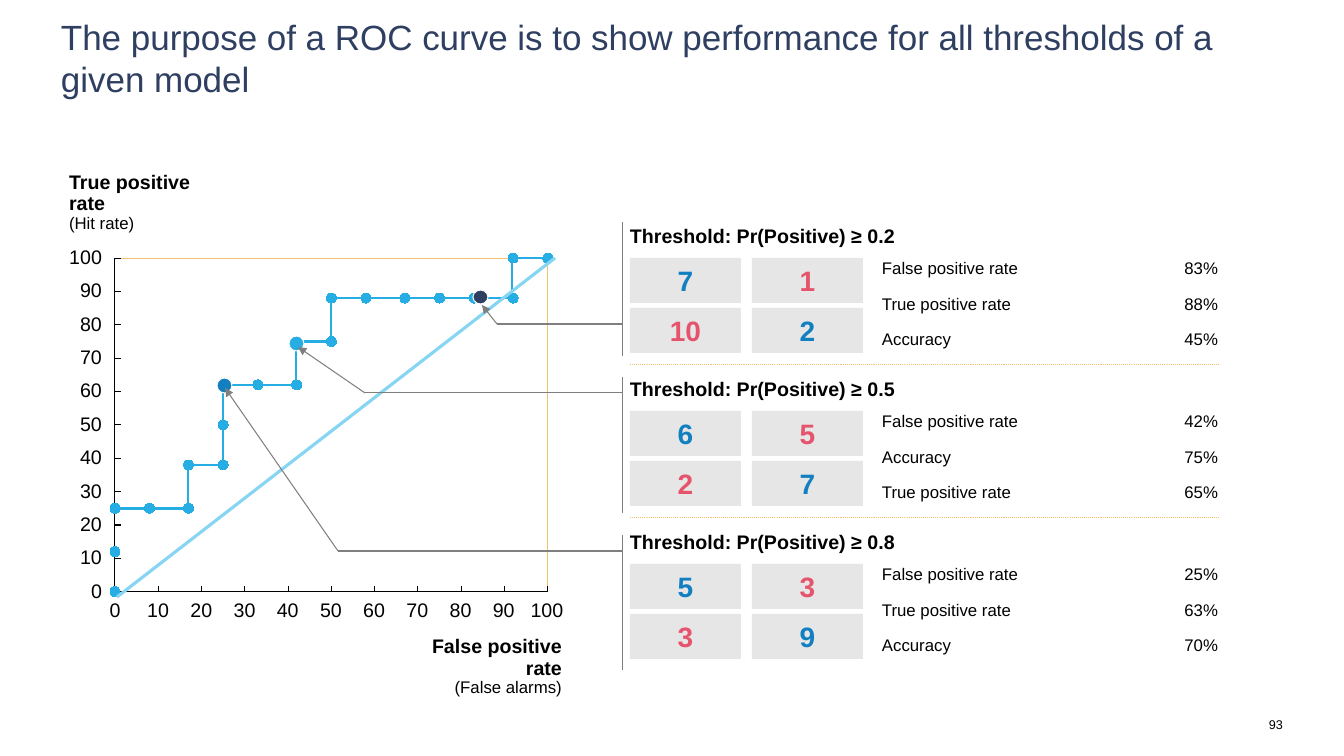
from itertools import pairwise

from lxml import etree
from pptx import Presentation
from pptx import util as u
from pptx.chart.data import XyChartData
from pptx.dml.color import RGBColor
from pptx.enum import chart as ch
from pptx.enum import dml, shapes, text
from pptx.oxml import parse_xml
from pptx.oxml.ns import nsdecls, qn

# Content
TITLE = ("The purpose of a ROC curve is to show performance "
         "for all thresholds of a given model")
PAGE_NUMBER = "93"
Y_TITLE = ("True positive rate", "(Hit rate)")
X_TITLE = ("False positive rate", "(False alarms)")
ROC_POINTS = [
    (0, 0), (0, 12), (0, 25), (8, 25), (17, 25), (17, 38), (25, 38),
    (25, 50), (25, 62), (33, 62), (42, 62), (42, 75), (50, 75), (50, 88),
    (58, 88), (67, 88), (75, 88), (83, 88), (92, 88), (92, 100), (100, 100),
]
FIRST_JOINED = 2  # the points below this index stand alone
FPR, TPR, ACCURACY = "False positive rate", "True positive rate", "Accuracy"
# dot: left, top, width, height; bracket: top, bottom; callout: knee, arrow tip
THRESHOLDS = [
    {"heading": "Threshold: Pr(Positive) ≥ 0.2", "matrix": [["7", "1"], ["10", "2"]],
     "metrics": [(FPR, "83%"), (TPR, "88%"), (ACCURACY, "45%")],
     "dot": (473, 290, 15, 14), "dot_color": "navy",
     "bracket": (222, 356), "callout": [(497, 324), (482, 305)]},
    {"heading": "Threshold: Pr(Positive) ≥ 0.5", "matrix": [["6", "5"], ["2", "7"]],
     "metrics": [(FPR, "42%"), (ACCURACY, "75%"), (TPR, "65%")],
     "dot": (289, 336, 15, 15), "dot_color": "curve",
     "bracket": (377, 513), "callout": [(365, 393), (298, 347)]},
    {"heading": "Threshold: Pr(Positive) ≥ 0.8", "matrix": [["5", "3"], ["3", "9"]],
     "metrics": [(FPR, "25%"), (TPR, "63%"), (ACCURACY, "70%")],
     "dot": (217, 378, 15, 15), "dot_color": "blue",
     "bracket": (535, 670), "callout": [(338, 551), (225, 388)]},
]

# Theme
THEME = {
    "font": "Arial",
    "colors": {"black": "000000", "white": "FFFFFF", "navy": "2F3F61",
               "curve": "26ADE4", "diagonal": "86D5F3", "blue": "127FC0",
               "red": "E5546C", "cell": "E6E6E6", "gray": "7F7F7F",
               "gold": "F2C26F"},
    "sizes": {"title": 25, "count": 20, "label": 14, "small": 12, "page": 9},
}
SIZES = THEME["sizes"]

# Layout in px
PX = 12192000 / 1344
PLOT_LEFT, PLOT_TOP, PLOT_WIDTH, PLOT_HEIGHT = 115, 258, 432, 334
CHART_BOX = (106, 249, 451, 352)
DIGIT_WIDTH, LABEL_HEIGHT = 11, 21
BRACKET_X, PANEL_LEFT, PANEL_WIDTH = 623, 630, 589
PANEL_TOP, PANEL_PITCH, BODY_OFFSET, DIVIDER_OFFSET = 224, 153, 34, 141
CELL_WIDTH, CELL_HEIGHT, CELL_PITCH_X, CELL_PITCH_Y = 111, 45, 122, 50
METRIC_LEFT, VALUE_LEFT, METRIC_SPAN = 882, 1152, 71

LEFT, CENTER, RIGHT = text.PP_ALIGN.LEFT, text.PP_ALIGN.CENTER, text.PP_ALIGN.RIGHT
TOP, MIDDLE, BOTTOM = text.MSO_ANCHOR.TOP, text.MSO_ANCHOR.MIDDLE, text.MSO_ANCHOR.BOTTOM


def emu(*lengths):
    return [u.Emu(round(length * PX)) for length in lengths]


def rgb(name):
    return RGBColor.from_string(THEME["colors"][name])


def style_run(run, size, color="black", bold=False):
    run.font.name = THEME["font"]
    run.font.size = u.Pt(SIZES[size])
    run.font.bold = bold
    run.font.color.rgb = rgb(color)


def add_text(slide, box, content, size, color="black", bold=False, align=LEFT,
             anchor=TOP, wrap=True, spacing=None):
    frame = slide.shapes.add_textbox(*emu(*box)).text_frame
    frame.margin_left = frame.margin_right = frame.margin_top = frame.margin_bottom = 0
    frame.word_wrap = wrap
    frame.vertical_anchor = anchor
    paragraph = frame.paragraphs[0]
    paragraph.text = content
    paragraph.alignment = align
    paragraph.line_spacing = spacing
    for run in paragraph.runs:
        style_run(run, size, color, bold)
    return paragraph


def add_axis_title(slide, box, lines, align, anchor):
    paragraph = add_text(slide, box, "\v".join(lines), "label", bold=True,
                         align=align, anchor=anchor, wrap=False, spacing=0.9)
    style_run(paragraph.runs[-1], "small")


def add_line(slide, start, end, color, width=0.75, arrow=False, dotted=False):
    connector = slide.shapes.add_connector(
        shapes.MSO_CONNECTOR.STRAIGHT, *emu(*start, *end))
    connector.line.color.rgb = rgb(color)
    connector.line.width = u.Pt(width)
    if dotted:
        connector.line.dash_style = dml.MSO_LINE.ROUND_DOT
    properties = connector.element.spPr
    if arrow:
        tail = etree.SubElement(properties.find(qn("a:ln")), qn("a:tailEnd"))
        tail.set("type", "triangle")
    etree.SubElement(properties, qn("a:effectLst"))


def add_filled(slide, kind, box, fill):
    shape = slide.shapes.add_shape(kind, *emu(*box))
    shape.shadow.inherit = False
    shape.fill.solid()
    shape.fill.fore_color.rgb = rgb(fill)
    shape.line.fill.background()
    return shape


def plot_point(x, y):
    return (PLOT_LEFT + x * PLOT_WIDTH / 100,
            PLOT_TOP + PLOT_HEIGHT - y * PLOT_HEIGHT / 100)


def add_roc_chart(slide):
    data = XyChartData()
    series_data = data.add_series("Series 1")
    for x, y in ROC_POINTS:
        series_data.add_data_point(x, y)
    chart = slide.shapes.add_chart(
        ch.XL_CHART_TYPE.XY_SCATTER, *emu(*CHART_BOX), data).chart
    chart.has_title = chart.has_legend = False
    chart.font.name = THEME["font"]
    chart.font.size = u.Pt(SIZES["label"])
    chart.font.color.rgb = rgb("black")
    chart.plots[0].vary_by_categories = False
    for axis in (chart.category_axis, chart.value_axis):
        axis.minimum_scale, axis.maximum_scale, axis.major_unit = 0, 100, 10
        axis.has_major_gridlines = False
        axis.major_tick_mark = ch.XL_TICK_MARK.INSIDE
        axis.minor_tick_mark = ch.XL_TICK_MARK.NONE
        axis.tick_label_position = ch.XL_TICK_LABEL_POSITION.NONE
        axis.format.line.color.rgb = rgb("black")
        axis.format.line.width = u.Pt(0.75)
    series = chart.plots[0].series[0]
    series.format.line.fill.background()
    series.marker.style = ch.XL_MARKER_STYLE.CIRCLE
    series.marker.size = 7
    series.marker.format.fill.solid()
    series.marker.format.fill.fore_color.rgb = rgb("curve")
    series.marker.format.line.color.rgb = rgb("curve")

    # Fixed inner plot area with a thin gold frame
    area = chart.element.find(".//" + qn("c:plotArea"))
    for layout in area.findall(qn("c:layout")):
        area.remove(layout)
    places = {"x": 0.02, "y": 0.026, "w": 0.96, "h": 0.948}
    modes = '<c:xMode val="edge"/><c:yMode val="edge"/>'
    values = "".join(f'<c:{key} val="{value}"/>' for key, value in places.items())
    area.insert(0, parse_xml(
        f'<c:layout {nsdecls("c")}><c:manualLayout><c:layoutTarget val="inner"/>'
        f'{modes}{values}</c:manualLayout></c:layout>'))
    area.append(parse_xml(
        f'<c:spPr {nsdecls("c", "a")}><a:noFill/><a:ln w="9525"><a:solidFill>'
        f'<a:srgbClr val="{THEME["colors"]["gold"]}"/></a:solidFill></a:ln></c:spPr>'))


def add_axis_labels(slide):
    for value in range(0, 101, 10):
        label = str(value)
        width = DIGIT_WIDTH * len(label)
        x, y = plot_point(value, value)
        add_text(slide, (102 - width, y - LABEL_HEIGHT / 2, width, LABEL_HEIGHT), label,
                 "label", align=RIGHT, anchor=MIDDLE, wrap=False, spacing=0.9)
        add_text(slide, (x - width / 2, 601, width, LABEL_HEIGHT), label,
                 "label", align=CENTER, wrap=False, spacing=0.9)
    add_axis_title(slide, (69, 194, 161, 39), Y_TITLE, LEFT, BOTTOM)
    add_axis_title(slide, (392, 637, 170, 39), X_TITLE, RIGHT, TOP)


def add_panel(slide, index, threshold):
    top = PANEL_TOP + index * PANEL_PITCH
    body = top + BODY_OFFSET
    heading = add_text(slide, (PANEL_LEFT, top, PANEL_WIDTH, 24),
                       threshold["heading"], "label", bold=True)
    heading.space_after = u.Pt(4)
    for row, counts in enumerate(threshold["matrix"]):
        for column, count in enumerate(counts):
            cell = add_filled(slide, shapes.MSO_SHAPE.RECTANGLE,
                              (PANEL_LEFT + column * CELL_PITCH_X,
                               body + row * CELL_PITCH_Y, CELL_WIDTH, CELL_HEIGHT), "cell")
            cell.text_frame.text = count
            cell.text_frame.vertical_anchor = MIDDLE
            paragraph = cell.text_frame.paragraphs[0]
            paragraph.alignment = CENTER
            style_run(paragraph.runs[0], "count", "blue" if row == column else "red", True)
    for row, (name, value) in enumerate(threshold["metrics"]):
        y = body + row * METRIC_SPAN / 2
        add_text(slide, (METRIC_LEFT, y, 259, 20), name, "small")
        add_text(slide, (VALUE_LEFT, y, 66, 20), value, "small", align=RIGHT)
    if index < len(THRESHOLDS) - 1:
        y = top + DIVIDER_OFFSET
        add_line(slide, (PANEL_LEFT, y), (PANEL_LEFT + PANEL_WIDTH, y), "gold", dotted=True)


def add_callout(slide, threshold):
    dot = add_filled(slide, shapes.MSO_SHAPE.OVAL, threshold["dot"], threshold["dot_color"])
    dot.line.color.rgb = rgb("white")
    dot.line.width = u.Pt(0.75)
    top, bottom = threshold["bracket"]
    knee, tip = threshold["callout"]
    add_line(slide, (BRACKET_X, top), (BRACKET_X, bottom), "gray")
    add_line(slide, (BRACKET_X, knee[1]), knee, "gray")
    add_line(slide, knee, tip, "gray", arrow=True)


def main():
    presentation = Presentation()
    presentation.slide_width, presentation.slide_height = emu(1344, 756)
    slide = presentation.slides.add_slide(presentation.slide_layouts[6])

    # Title and page number
    add_text(slide, (61, 15, 1222, 85), TITLE, "title", "navy", anchor=BOTTOM)
    add_text(slide, (1247, 717, 36, 15), PAGE_NUMBER, "page", align=RIGHT, anchor=BOTTOM)

    # ROC curve
    add_roc_chart(slide)
    add_axis_labels(slide)
    for start, end in pairwise(ROC_POINTS[FIRST_JOINED:]):
        add_line(slide, plot_point(*start), plot_point(*end), "curve", 1.5)
    add_line(slide, (117, 597), (555, 258), "diagonal", 2.25)

    # Thresholds
    for index, threshold in enumerate(THRESHOLDS):
        add_callout(slide, threshold)
        add_panel(slide, index, threshold)

    presentation.save("out.pptx")


if __name__ == "__main__":
    main()
